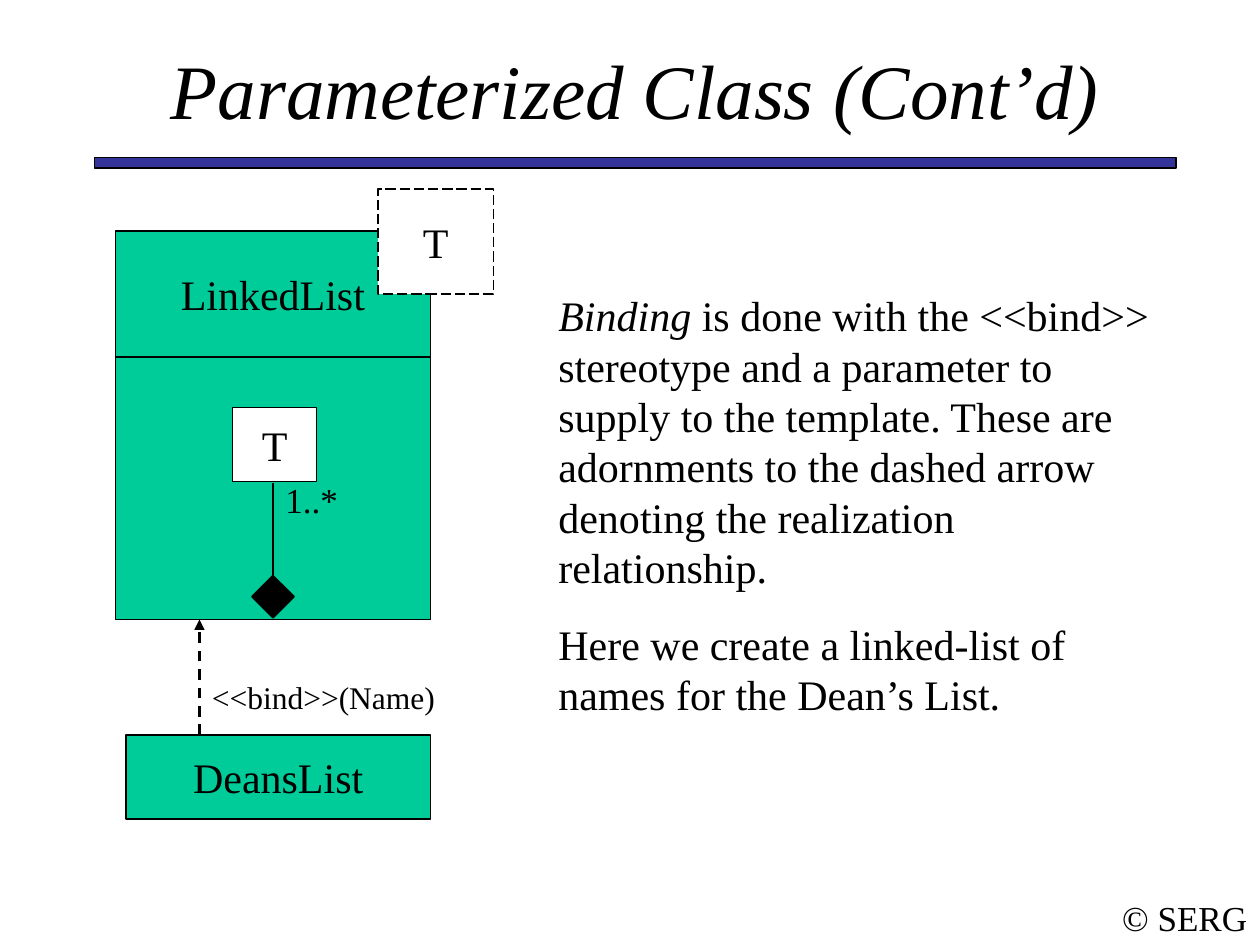
"""Build the slide on binding a parameterized class."""
from lxml import etree
from pptx import Presentation
from pptx.dml.color import RGBColor
from pptx.enum.dml import MSO_LINE
from pptx.enum.shapes import MSO_CONNECTOR, MSO_SHAPE
from pptx.enum.text import MSO_ANCHOR, PP_ALIGN
from pptx.oxml.ns import qn
from pptx.util import Pt

RECTANGLE, DIAMOND = MSO_SHAPE.RECTANGLE, MSO_SHAPE.DIAMOND
STRAIGHT = MSO_CONNECTOR.STRAIGHT
DASH, LONG_DASH = MSO_LINE.DASH, MSO_LINE.LONG_DASH
LEFT, CENTER = PP_ALIGN.LEFT, PP_ALIGN.CENTER
TOP, MIDDLE = MSO_ANCHOR.TOP, MSO_ANCHOR.MIDDLE
FONT = "Times New Roman"
COLORS = {"black": "000000", "white": "FFFFFF", "class": "00CC99", "rule": "333399"}


def rgb(name):
    return RGBColor.from_string(COLORS[name])


def write_text(shape, paragraphs, size, align=LEFT, anchor=TOP, wrap=True, italic=False):
    """Fill a shape with paragraphs, each given as a list of (text, italic) runs."""
    frame = shape.text_frame
    frame.word_wrap = wrap
    frame.vertical_anchor = anchor
    for index, runs in enumerate(paragraphs):
        paragraph = frame.add_paragraph() if index else frame.paragraphs[0]
        paragraph.alignment = align
        if index:
            paragraph.space_before = Pt(15)
        paragraph.font.name = FONT
        paragraph.font.size = Pt(size)
        paragraph.font.italic = italic
        paragraph.font.color.rgb = rgb("black")
        for text, run_italic in runs:
            run = paragraph.add_run()
            run.text = text
            if run_italic:
                run.font.italic = True


def add_text(slide, box, paragraphs, size, **style):
    shape = slide.shapes.add_textbox(*map(Pt, box))
    write_text(shape, paragraphs, size, **style)


def add_box(slide, box, fill, text=None, kind=RECTANGLE, dash=None, width=0.75):
    shape = slide.shapes.add_shape(kind, *map(Pt, box))
    shape.shadow.inherit = False
    shape.fill.solid()
    shape.fill.fore_color.rgb = rgb(fill)
    shape.line.color.rgb = rgb("black")
    shape.line.width = Pt(width)
    if dash:
        shape.line.dash_style = dash
    if text:
        write_text(shape, [[(text, False)]], 24, align=CENTER, anchor=MIDDLE, wrap=False)
    return shape


def add_line(slide, x, start, end, dash=None, arrow=False):
    """Draw a vertical line from start to end."""
    line = slide.shapes.add_connector(STRAIGHT, Pt(x), Pt(start), Pt(x), Pt(end))
    line.line.color.rgb = rgb("black")
    line.line.width = Pt(1.5)
    if dash:
        line.line.dash_style = dash
    if arrow:
        outline = line.line._get_or_add_ln()
        etree.SubElement(outline, qn("a:tailEnd"), type="triangle")
    properties = line._element.spPr
    etree.SubElement(properties, qn("a:effectLst"))
    return line


def add_class_diagram(slide):
    add_box(slide, (66, 132, 180, 72), "class", "LinkedList")
    add_box(slide, (216, 108, 66, 60), "white", "T", dash=LONG_DASH)
    add_box(slide, (66, 204, 180, 150), "class")
    add_box(slide, (133, 233, 48, 42), "white", "T")
    diamond = add_box(slide, (144, 329, 24, 24), "black", kind=DIAMOND, width=1)
    composition = add_line(slide, 156, 329, 276)
    composition.begin_connect(diamond, 0)
    add_text(slide, (156, 270, 48, 32), [[("1..*", False)]], 20)
    add_box(slide, (72, 420, 174, 48), "class", "DeansList")
    add_line(slide, 114, 420, 354, dash=DASH, arrow=True)
    add_text(slide, (114, 384, 144, 29), [[("<<bind>>(Name)", False)]], 18)


def main():
    presentation = Presentation()
    presentation.slide_width, presentation.slide_height = Pt(720), Pt(540)
    slide = presentation.slides.add_slide(presentation.slide_layouts[6])
    add_text(slide, (634, 508, 86, 32), [[("© SERG", False)]], 20,
             align=CENTER, anchor=MIDDLE, wrap=False)
    add_box(slide, (54, 90, 618, 6), "rule")
    add_text(slide, (54, 30, 618, 42), [[("Parameterized Class (Cont’d)", False)]], 44,
             align=CENTER, anchor=MIDDLE, italic=True)
    add_class_diagram(slide)
    explanation = [
        [("Binding", True),
         (" is done with the <<bind>> stereotype and a parameter to supply to the "
          "template. These are adornments to the dashed arrow denoting the "
          "realization relationship.", False)],
        [("Here we create a linked-list of names for the Dean’s List.", False)],
    ]
    add_text(slide, (312, 162, 354, 253), explanation, 24)
    presentation.save("out.pptx")


if __name__ == "__main__":
    main()
